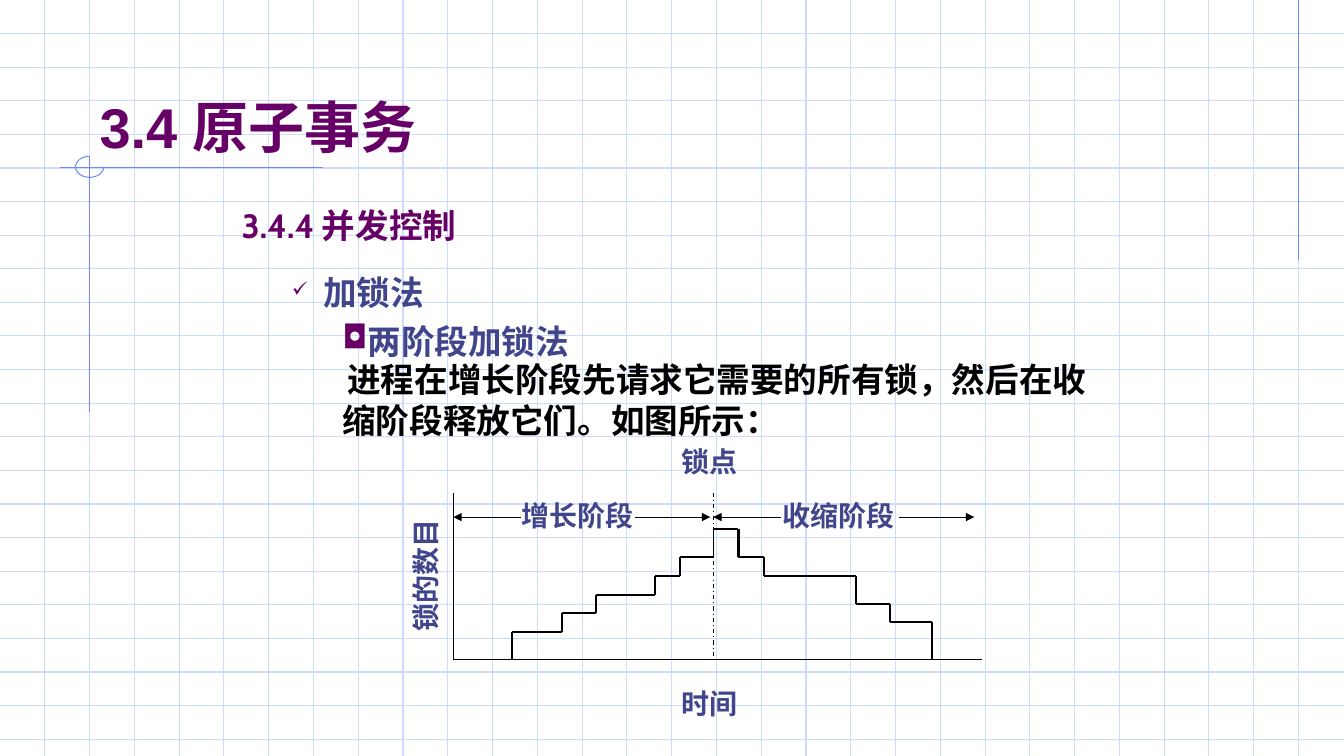
from dataclasses import dataclass
from itertools import pairwise

from lxml import etree
from pptx import Presentation
from pptx.dml.color import RGBColor
from pptx.enum.dml import MSO_LINE
from pptx.enum.shapes import MSO_CONNECTOR, MSO_SHAPE
from pptx.enum.text import MSO_ANCHOR
from pptx.oxml.ns import qn
from pptx.util import Inches, Pt

STRAIGHT = MSO_CONNECTOR.STRAIGHT
ARC = MSO_SHAPE.ARC
DASH_DOT = MSO_LINE.DASH_DOT
TOP, BOTTOM = MSO_ANCHOR.TOP, MSO_ANCHOR.BOTTOM

WHITE = RGBColor(0xFF, 0xFF, 0xFF)
BLACK = RGBColor(0x00, 0x00, 0x00)
PLUM = RGBColor(0x66, 0x00, 0x66)
NAVY = RGBColor(0x40, 0x45, 0x8C)
PALE = RGBColor(0xCF, 0xDB, 0xFD)
BLUE = RGBColor(0x6F, 0x89, 0xF7)

HAN = "Noto Sans CJK SC"
WIDTH, HEIGHT = 13.34, 7.5
ROW, COL = 1 / 3, 4 / 9
BASE, PEAK = 6.54, 7.08  # time axis and lock point


@dataclass
class Line:
    x1: float
    y1: float
    x2: float
    y2: float
    color: RGBColor = BLACK
    width: float = 0.75
    dashed: bool = False
    arrow: bool = False


@dataclass
class Para:
    text: str
    color: RGBColor = NAVY
    before: float = 0
    left: float = 0
    indent: float = 0
    bullet: str = ""
    scale: int = 100


@dataclass
class Label:
    text: str
    x: float
    y: float
    w: float
    turn: int = 0


def draw_line(shapes, line: Line) -> None:
    ends = [Inches(v) for v in (line.x1, line.y1, line.x2, line.y2)]
    wire = shapes.add_connector(STRAIGHT, *ends)
    wire.line.color.rgb = line.color
    wire.line.width = Pt(line.width)
    if line.dashed:
        wire.line.dash_style = DASH_DOT
    if line.arrow:
        etree.SubElement(wire.line._get_or_add_ln(), qn("a:tailEnd"), type="triangle")
    etree.SubElement(wire._element.spPr, qn("a:effectLst"))


def add_bullet(item, para: Para) -> None:
    props = item._p.get_or_add_pPr()
    color = etree.SubElement(props, qn("a:buClr"))
    etree.SubElement(color, qn("a:srgbClr"), val=str(PLUM))
    etree.SubElement(props, qn("a:buSzPct"), val=str(para.scale * 1000))
    etree.SubElement(props, qn("a:buChar"), char=para.bullet)


def add_text(shapes, paras: list[Para], *, x: float, y: float, w: float,
             h: float, size: float, font: str = HAN, pitch: float = 0,
             anchor=TOP, pad: float = 0.08, turn: int = 0) -> None:
    box = shapes.add_textbox(Inches(x), Inches(y), Inches(w), Inches(h))
    box.rotation = turn
    frame = box.text_frame
    frame.word_wrap = True
    frame.vertical_anchor = anchor
    frame.margin_top = Inches(pad)
    frame.margin_bottom = 0
    for n, para in enumerate(paras):
        item = frame.add_paragraph() if n else frame.paragraphs[0]
        if pitch:
            item.line_spacing = Pt(pitch)
        if n:
            item.space_before = Pt(para.before)
        props = item._p.get_or_add_pPr()
        props.set("marL", str(Inches(para.left)))
        props.set("indent", str(Inches(para.indent)))
        if para.bullet:
            add_bullet(item, para)
        run = item.add_run()
        run.text = para.text
        run.font.size = Pt(size)
        run.font.bold = True
        run.font.color.rgb = para.color
        run.font.name = font
        etree.SubElement(run._r.get_or_add_rPr(), qn("a:ea"), typeface=HAN)


def draw_back(shapes) -> None:
    # Squared paper
    for n in range(1, 23):
        draw_line(shapes, Line(0, n * ROW, WIDTH, n * ROW, PALE))
    for n in range(1, 30):
        draw_line(shapes, Line(n * COL, 0, n * COL, HEIGHT, PALE))
    # Title rules and ring
    for ends in ((12.89, 0, 12.89, 2.58), (3.21, 1.66, 0.6, 1.66),
                 (0.89, 1.55, 0.89, 4.09)):
        draw_line(shapes, Line(*ends, BLUE))
    ring = shapes.add_shape(ARC, Inches(0.75), Inches(1.55), Inches(0.28), Inches(0.21))
    ring.adjustments[0] = 0
    ring.adjustments[1] = 162  # 270 degrees
    ring.shadow.inherit = False
    ring.fill.background()
    ring.line.color.rgb = BLUE
    ring.line.width = Pt(0.75)


def draw_graph(shapes) -> None:
    # Axes and lock point
    draw_line(shapes, Line(4.5, BASE, 9.75, BASE))
    draw_line(shapes, Line(4.5, 4.89, 4.5, BASE))
    draw_line(shapes, Line(PEAK, 4.89, PEAK, BASE, dashed=True))
    draw_line(shapes, Line(PEAK, 5.25, PEAK, 5.53))
    # Steps: each pair is a level and the place where it ends
    rise = [(6.75, 5.53), (6.5, 5.71), (5.92, 5.9), (5.58, 6.08), (5.08, 6.27)]
    fall = [(7.33, 5.25), (7.58, 5.53), (8.5, 5.71), (8.83, 5.99), (9.25, 6.17)]
    for steps in (rise, fall):
        x = PEAK
        points = []
        for edge, level in steps:
            points += [(x, level), (edge, level)]
            x = edge
        points.append((x, BASE))
        for start, end in pairwise(points):
            draw_line(shapes, Line(*start, *end, width=1.5))
    # Labels
    labels = [
        Label("时间", 6.67, 6.73, 1.25),
        Label("锁的数目", 3.28, 5.22, 1.84, 270),
        Label("锁点", 6.67, 4.33, 1.25),
        Label("增长阶段", 5.08, 4.87, 1.42),
        Label("收缩阶段", 7.67, 4.87, 1.42),
    ]
    for tag in labels:
        add_text(shapes, [Para(tag.text)], x=tag.x, y=tag.y, w=tag.w, h=0.44,
                 size=20, pitch=24, turn=tag.turn)
    # Phase arrows
    for start, end in ((5.17, 4.5), (6.3, 7.05), (7.75, PEAK), (8.92, 9.67)):
        draw_line(shapes, Line(start, 5.13, end, 5.13, arrow=True))


def main() -> None:
    deck = Presentation()
    deck.slide_width, deck.slide_height = Inches(WIDTH), Inches(HEIGHT)
    slide = deck.slides.add_slide(deck.slide_layouts[6])
    slide.background.fill.solid()
    slide.background.fill.fore_color.rgb = WHITE
    shapes = slide.shapes
    draw_back(shapes)

    # Title, outline and body
    add_text(shapes, [Para("3.4 原子事务", PLUM)], x=0.89, y=0.33, w=11.33,
             h=1.25, size=40, font="Arial", anchor=BOTTOM)
    outline = [
        Para("3.4.4 并发控制", PLUM, left=0.38, indent=-0.38),
        Para("加锁法", before=19, left=0.81, indent=-0.31, bullet="✓", scale=60),
        Para("两阶段加锁法", before=6, left=1.25, indent=-0.25, bullet="◘", scale=95),
    ]
    add_text(shapes, outline, x=2.3, y=1.95, w=8.74, h=5.39, size=24,
             font="Cabin", pitch=29)
    body = "进程在增长阶段先请求它需要的所有锁，然后在收缩阶段释放它们。如图所示："
    add_text(shapes, [Para(body, BLACK, left=0.38, indent=0.05)], x=2.92,
             y=3.48, w=8.25, h=0.9, size=24, pitch=29)

    draw_graph(shapes)
    deck.save("out.pptx")


if __name__ == "__main__":
    main()
